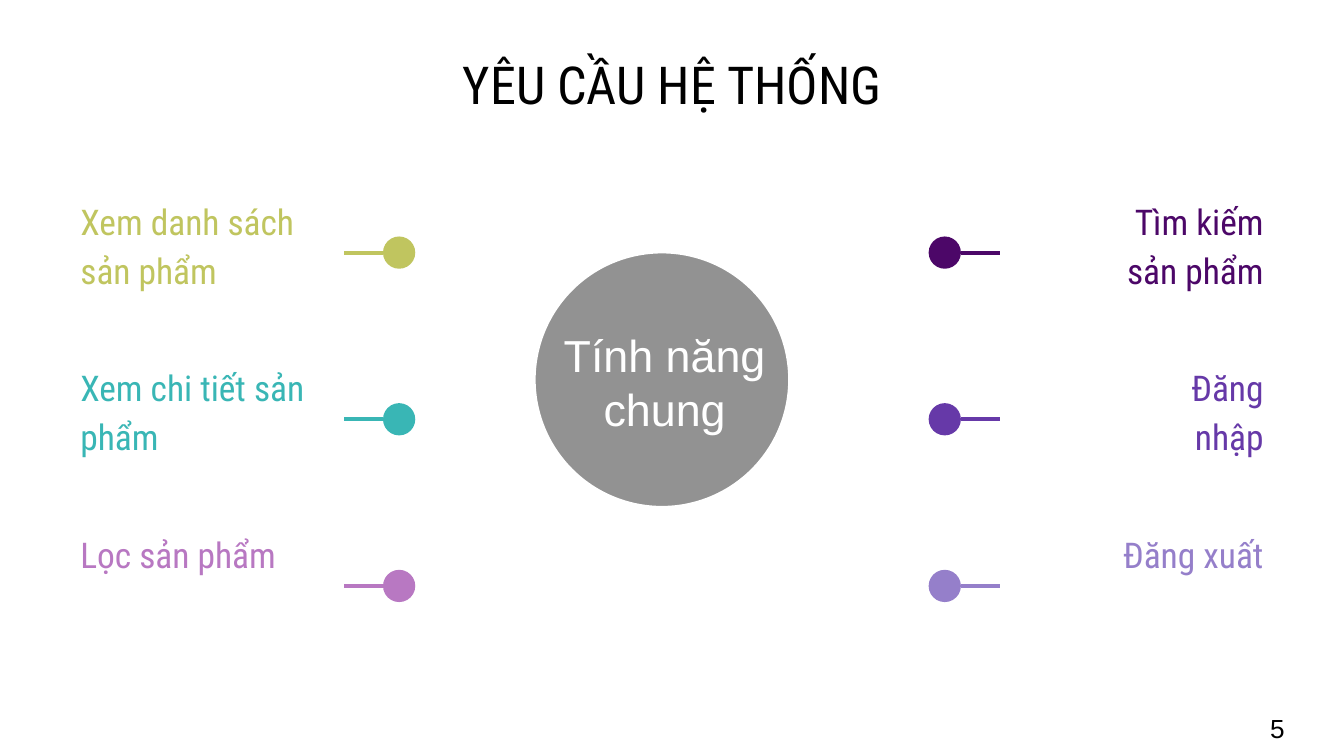
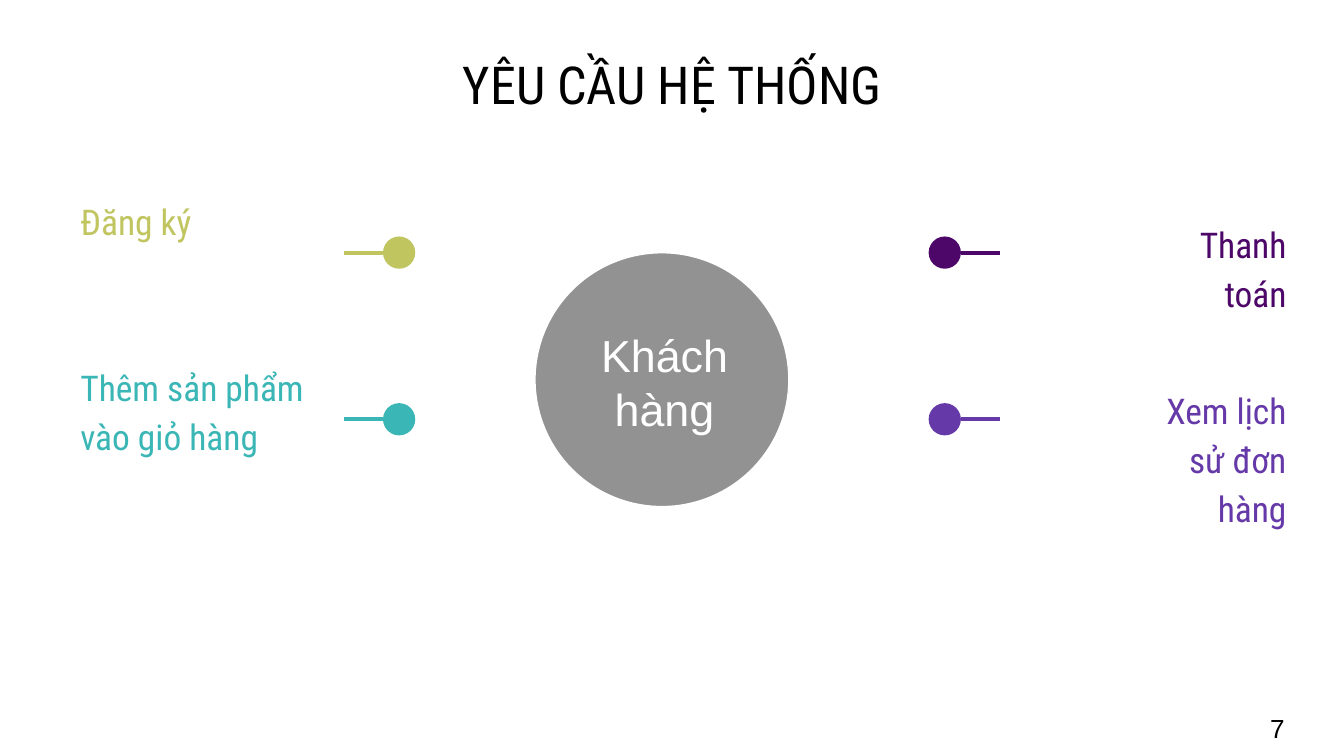
from pptx import Presentation
from pptx.dml.color import RGBColor as Rgb
from pptx.enum.shapes import MSO_CONNECTOR as Link, MSO_SHAPE as Shape
from pptx.enum.text import MSO_ANCHOR as Anchor, MSO_AUTO_SIZE as Fit, PP_ALIGN as Align
from pptx.oxml.ns import qn
from pptx.util import Inches, Pt
from lxml.etree import SubElement

BLACK = Rgb(0x00, 0x00, 0x00)
WHITE = Rgb(0xFF, 0xFF, 0xFF)
GREY = Rgb(0x92, 0x92, 0x92)
LIME = Rgb(0xC0, 0xC5, 0x5F)
TEAL = Rgb(0x39, 0xB6, 0xB5)
PINK = Rgb(0xB8, 0x78, 0xC2)
PLUM = Rgb(0x4C, 0x07, 0x68)
VIOLET = Rgb(0x66, 0x39, 0xA8)
LILAC = Rgb(0x95, 0x7F, 0xCA)

WIDE = Inches(10)
HIGH = WIDE * 9 // 16
ROBOTO = "Roboto Condensed"
TIGHT = dict.fromkeys(("margin_left", "margin_right", "margin_top", "margin_bottom"), Inches(0.1))
TITLE = {
    "font": {"name": ROBOTO, "size": Pt(28)},
    "para": {"alignment": Align.CENTER},
    "frame": {**TIGHT, "vertical_anchor": Anchor.MIDDLE},
}
ITEM = {
    "font": {"name": ROBOTO, "size": Pt(19)},
    "para": {"line_spacing": 1.15, "space_after": Pt(16)},
    "frame": TIGHT,
}
HUB = {
    "font": {"name": "Arial", "size": Pt(24)},
    "para": {"alignment": Align.CENTER},
    "frame": {"auto_size": Fit.SHAPE_TO_FIT_TEXT},
}
PAGE = {**HUB, "font": {"name": "Arial", "size": Pt(14)}}

ROW = 1.24
DOT = 0.24
STEM = 0.29
LEFT = [(LIME, 1.98), (TEAL, 2.04), (PINK, 1.77)]
RIGHT = [(PLUM, 1.35), (VIOLET, 1.24), (LILAC, 1.35)]


def apply(item, values):
    """Set each named attribute of the item."""
    for name, value in values.items():
        setattr(item, name, value)


def write(slide, box, text, style, color, align=None):
    """Add a styled text box."""
    frame = slide.shapes.add_textbox(*map(Inches, box)).text_frame
    apply(frame, {"word_wrap": True, **style["frame"]})
    para = frame.paragraphs[0]
    apply(para, style["para"])
    if align is not None:
        para.alignment = align
    run = para.add_run()
    run.text = text
    apply(run.font, style["font"])
    run.font.color.rgb = color


def disc(slide, x, y, size, color, edge=None):
    """Add a filled circle with an optional edge."""
    shape = slide.shapes.add_shape(Shape.OVAL, *map(Inches, (x, y, size, size)))
    shape.shadow.inherit = False
    shape.fill.solid()
    shape.fill.fore_color.rgb = color
    if edge is None:
        shape.line.fill.background()
    else:
        shape.line.color.rgb = edge
        shape.line.width = Pt(2.25)


def pin(slide, x, y, color, side):
    """Add a dot whose stem points to the given side, -1 left or 1 right."""
    disc(slide, x, y, DOT, color)
    start = x + DOT if side > 0 else x
    mid = y + DOT / 2
    line = slide.shapes.add_connector(
        Link.STRAIGHT, *map(Inches, (start, mid, start + side * STEM, mid)))
    line.line.color.rgb = color
    line.line.width = Pt(2.25)
    SubElement(line._element.spPr, qn("a:effectLst"))


def column(slide, texts, looks, edge, top, dot, side, shift=0):
    """Stack labels against an edge, each with its pin."""
    for i, (text, (color, width)) in enumerate(zip(texts, looks)):
        y = top + i * ROW
        x = edge - width + shift if side > 0 else edge
        align = Align.RIGHT if side > 0 else Align.LEFT
        write(slide, (x, y + shift, width, 0.55), text, ITEM, color, align)
        pin(slide, dot, y + 0.42, color, side)


def hub(slide, x, y, size, text):
    """Add the central circle and its caption."""
    disc(slide, x, y, size, GREY, WHITE)
    write(slide, (x + 0.01, y + 0.52, size + 0.02, 0.91), text, HUB, WHITE)


def build(deck, page, core, left, right, shift=0):
    """Add one slide of requirements around a hub."""
    slide = deck.slides.add_slide(deck.slide_layouts[6])
    write(slide, (2.75, 0.45, 4.5, 0.35), "YÊU CẦU HỆ THỐNG", TITLE, BLACK)
    column(slide, left, LEFT, 0.5, 1.34, 2.85, -1)
    column(slide, right, RIGHT, 9.5, 1.34, 6.91, 1, shift)
    hub(slide, 3.97, 1.87, 1.91, core)
    write(slide, (9.11, 5.25, 0.79, 0.34), page, PAGE, BLACK)


def main():
    """Build and save the deck."""
    deck = Presentation()
    apply(deck, {"slide_width": WIDE, "slide_height": HIGH})
    build(deck, "5", "Tính năng chung",
          ["Xem danh sách sản phẩm", "Xem chi tiết sản phẩm", "Lọc sản phẩm"],
          ["Tìm kiếm sản phẩm", "Đăng nhập", "Đăng xuất"])
    build(deck, "7", "Khách hàng",
          ["Đăng ký", "Thêm sản phẩm vào giỏ hàng"],
          ["Thanh toán", "Xem lịch sử đơn hàng"], 0.17)
    deck.save("out.pptx")


if __name__ == "__main__":
    main()
